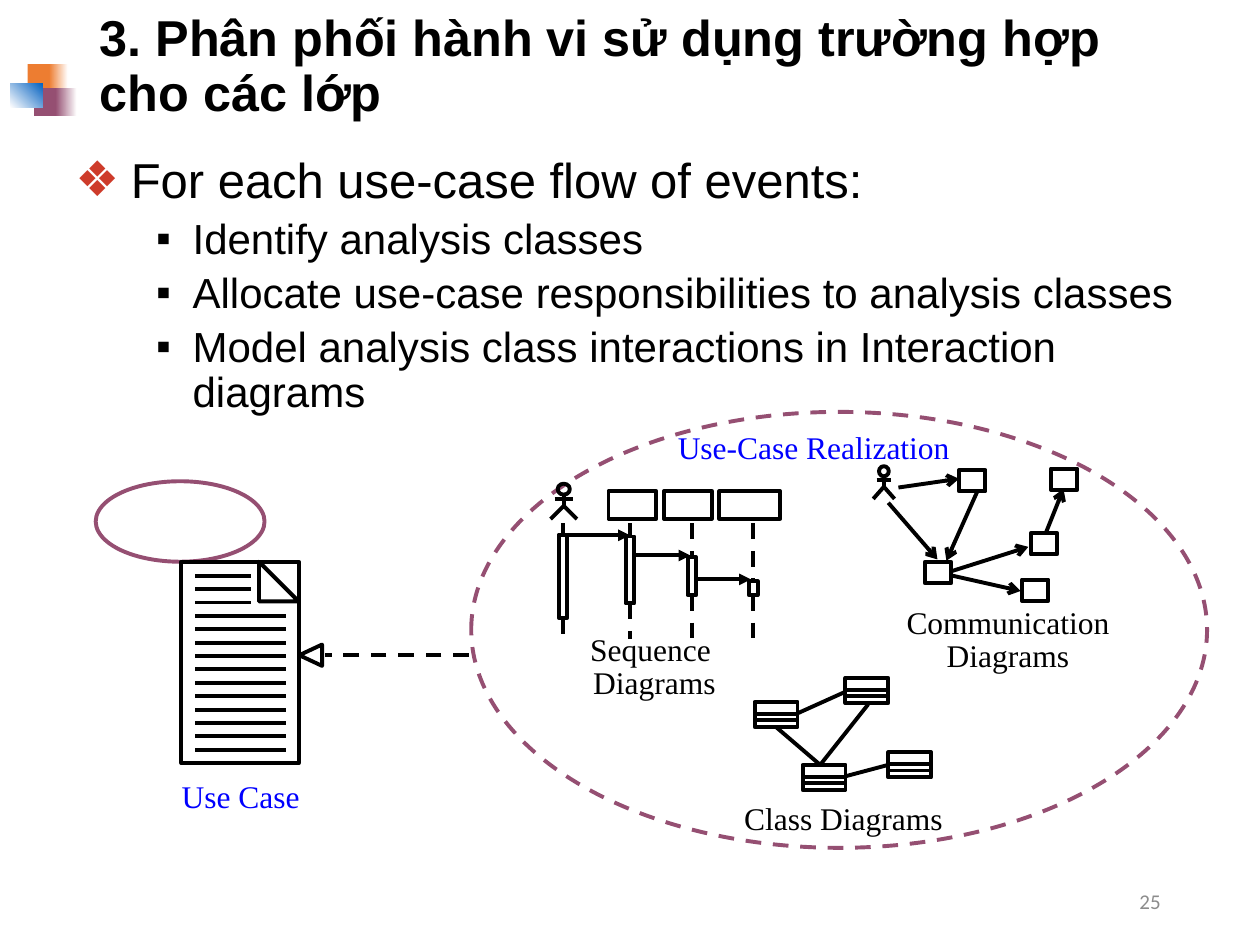
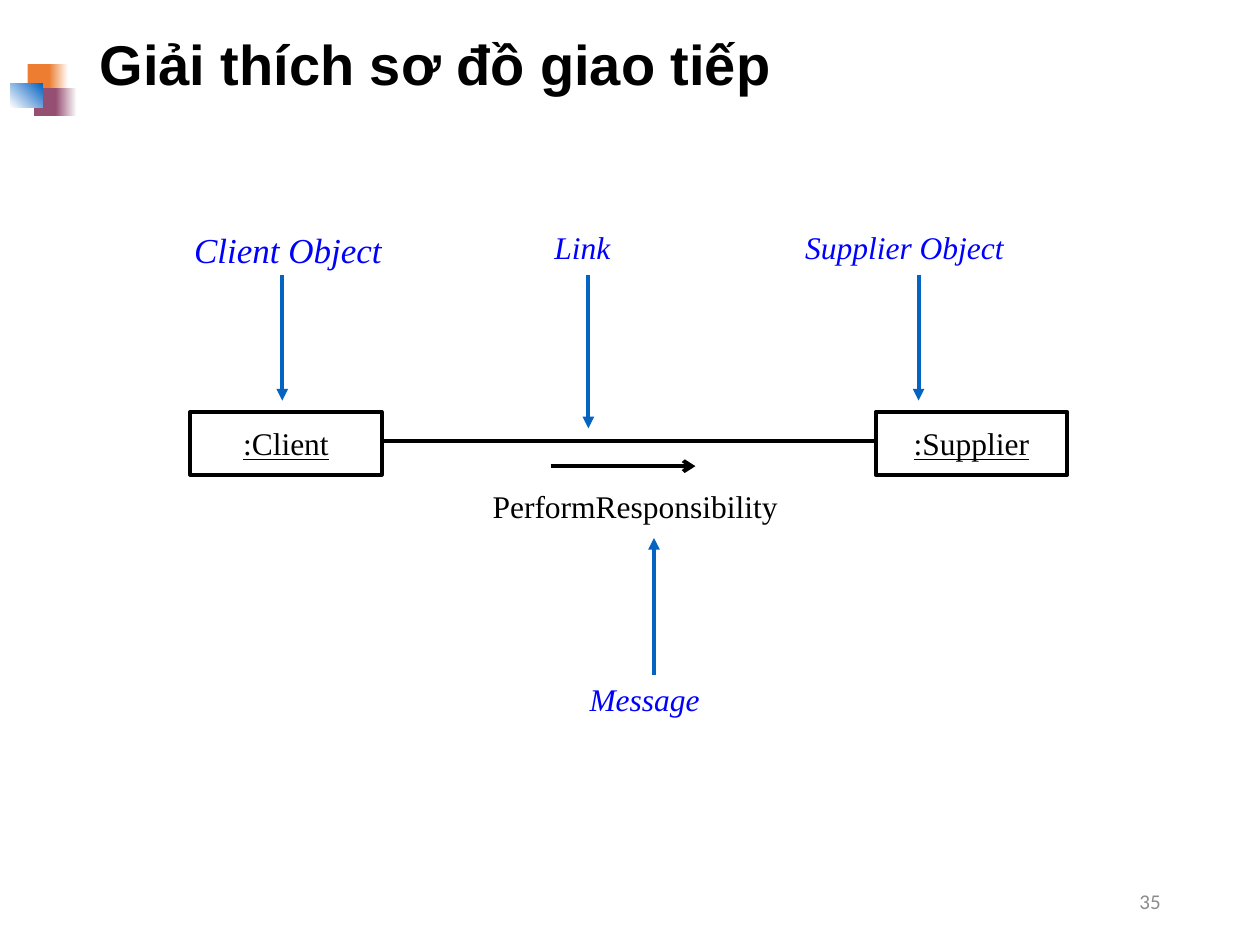
from lxml import etree
from pptx import Presentation
from pptx.dml.color import RGBColor
from pptx.enum import dml, shapes, text
from pptx.oxml import ns
from pptx.util import Pt

BLACK, BLUE, LABEL = "000000", "0563C1", "0000FF"
ORANGE, PLUM, WHITE = "ED7D31", "954F72", "FFFFFF"
GREY, RED = "8C8C8C", "CE3B2A"
SANS, SERIF, NUMBER = "Arial", "Times New Roman", "Calibri"
RECT, OVAL = shapes.MSO_SHAPE.RECTANGLE, shapes.MSO_SHAPE.OVAL
LEFT, CENTER, RIGHT = text.PP_ALIGN.LEFT, text.PP_ALIGN.CENTER, text.PP_ALIGN.RIGHT
MIDDLE = text.MSO_ANCHOR.MIDDLE
STROKE = 2.25


def rgb(color):
    """Turn a hex string into a colour."""
    return RGBColor.from_string(color)


def add_run(p, words, size, color=BLACK, font=SERIF, bold=None, italic=None, underline=None):
    """Add one formatted run to a paragraph."""
    r = p.add_run()
    r.text = words
    f = r.font
    f.size, f.name, f.color.rgb = Pt(size), font, rgb(color)
    f.bold, f.italic, f.underline = bold, italic, underline


def set_line(sp, color, dash=False):
    """Give a shape or connector the common stroke."""
    sp.line.color.rgb = rgb(color)
    sp.line.width = Pt(STROKE)
    if dash:
        sp.line.dash_style = dml.MSO_LINE.DASH


def outline(s, kind, x, y, w, h, color=BLACK, dash=False):
    """Add an unfilled preset shape."""
    sp = s.shapes.add_shape(kind, Pt(x), Pt(y), Pt(w), Pt(h))
    sp.shadow.inherit = False
    sp.fill.background()
    set_line(sp, color, dash)
    return sp


def line(s, x1, y1, x2, y2, color=BLACK, dash=False, head=None):
    """Add a straight line, with an arrowhead at its end if asked."""
    c = s.shapes.add_connector(shapes.MSO_CONNECTOR.STRAIGHT, Pt(x1), Pt(y1), Pt(x2), Pt(y2))
    set_line(c, color, dash)
    if head:
        etree.SubElement(c.line._get_or_add_ln(), ns.qn("a:tailEnd"), type=head)
    etree.SubElement(c._element.spPr, ns.qn("a:effectLst"))


def polyline(s, points, close=False):
    """Add an unfilled outline through the points."""
    pts = [(Pt(x), Pt(y)) for x, y in points]
    fb = s.shapes.build_freeform(*pts[0])
    fb.add_line_segments(pts[1:], close=close)
    sp = fb.convert_to_shape()
    sp.shadow.inherit = False
    sp.fill.background()
    set_line(sp, BLACK)


def text_box(s, x, y, w, h, wrap=True, inset=True):
    """Add an empty text box and return its frame."""
    tf = s.shapes.add_textbox(Pt(x), Pt(y), Pt(w), Pt(h)).text_frame
    tf.word_wrap = wrap
    if not inset:
        tf.margin_left = tf.margin_right = tf.margin_top = tf.margin_bottom = 0
    return tf


def label(s, lines, x, y, w, h, color=BLACK, align=CENTER):
    """Add a serif label, with tight spacing when it has several lines."""
    p = text_box(s, x, y, w, h).paragraphs[0]
    p.alignment = align
    if len(lines) > 1:
        p.line_spacing = Pt(19)
    for i, words in enumerate(lines):
        if i:
            p.add_line_break()
        add_run(p, words, 18, color)


def ornament(s, x, y):
    """Draw the overlapping squares beside the title."""
    squares = [
        (10, 0, 14.4, 15.8, ORANGE, None, 0),
        (22.3, 0, 10.8, 15.8, ORANGE, WHITE, 0),
        (13.7, 13.7, 13.7, 15.8, PLUM, None, 0),
        (26, 13.7, 12.2, 15.8, PLUM, WHITE, 0),
        (0, 10.8, 18.7, 13.7, WHITE, BLUE, 45),
    ]
    for dx, dy, w, h, start, end, angle in squares:
        sp = s.shapes.add_shape(RECT, Pt(x + dx), Pt(y + dy), Pt(w), Pt(h))
        sp.shadow.inherit = False
        sp.line.fill.background()
        if end is None:
            sp.fill.solid()
            sp.fill.fore_color.rgb = rgb(start)
            continue
        sp.fill.gradient()
        sp.fill.gradient_angle = angle
        for stop, color in zip(sp.fill.gradient_stops, (start, end)):
            stop.color.rgb = rgb(color)


def new_slide(prs, title, size, number):
    """Add a title-only slide with ornament, title and slide number."""
    s = prs.slides.add_slide(prs.slide_layouts[5])
    ornament(s, 5.8, 36.7)
    sp = s.shapes.title
    sp.left, sp.top, sp.width, sp.height = Pt(49.7), Pt(9.4), Pt(620.6), Pt(58.3)
    tf = sp.text_frame
    tf.auto_size, tf.vertical_anchor = text.MSO_AUTO_SIZE.NONE, MIDDLE
    p = tf.paragraphs[0]
    p.alignment, p.line_spacing = LEFT, 0.9
    add_run(p, title, size, font=SANS, bold=True)
    tf = text_box(s, 508.3, 500.4, 162, 28.8)
    tf.vertical_anchor = MIDDLE
    tf.paragraphs[0].alignment = RIGHT
    add_run(tf.paragraphs[0], number, 12, GREY, NUMBER)
    return s


def bullet_list(s, items, x, y, w, h):
    """Write bulleted items given as (level, words)."""
    styles = [("❖", RED, 31.7, -31.7, 28, 10), ("▪", BLACK, 67, -20.9, 24, 5)]
    tf = text_box(s, x, y, w, h)
    for i, (level, words) in enumerate(items):
        char, color, margin, indent, size, before = styles[level]
        p = tf.add_paragraph() if i else tf.paragraphs[0]
        p.level, p.line_spacing = level, 0.9
        p.space_before = Pt(before if i else 0)
        pPr = p._p.get_or_add_pPr()
        pPr.set("marL", str(Pt(margin)))
        pPr.set("indent", str(Pt(indent)))
        clr = etree.SubElement(pPr, ns.qn("a:buClr"))
        etree.SubElement(clr, ns.qn("a:srgbClr"), val=color)
        etree.SubElement(pPr, ns.qn("a:buFont"), typeface=SANS)
        etree.SubElement(pPr, ns.qn("a:buChar"), char=char)
        add_run(p, words, size, font=SANS)


def actor(s, x, y, w, h):
    """Draw a stick figure filling the box."""
    mid = x + w / 2
    outline(s, OVAL, mid - 0.23 * w, y, 0.46 * w, 0.31 * h)
    line(s, mid, y + 0.31 * h, mid, y + 0.63 * h)
    line(s, x + 0.16 * w, y + 0.43 * h, x + 0.84 * w, y + 0.43 * h)
    polyline(s, [(x, y + h), (mid, y + 0.63 * h), (x + w, y + h)])


def use_case(s, x, y):
    """Draw the use-case oval and its document."""
    outline(s, OVAL, x, y, 96.5, 46, PLUM)
    left, top, w, h, fold = x + 49, y + 46, 67, 115.2, 22.7
    right = left + w
    outline(s, RECT, left, top, w, h)
    polyline(s, [(right - fold, top), (right, top + fold), (right - fold, top + fold)], close=True)
    for i in range(14):
        row = top + 8 + 7.65 * i
        line(s, left + 7.9, row, left + (39.6 if i < 3 else 59.8), row)
    label(s, ["Use Case"], x + 10.8, y + 165.6, 144, 28.8, LABEL)


def dependency(s, x, y, length):
    """Draw a dashed line that ends in a hollow triangle on the left."""
    line(s, x + length, y, x + 14.4, y, dash=True)
    outline(s, shapes.MSO_SHAPE.ISOSCELES_TRIANGLE, x, y - 6.5, 12.2, 13).rotation = 270


def sequence_diagram(s, x, y):
    """Draw the small sequence diagram with its label."""
    actor(s, x, y, 15.1, 20.2)
    lifelines = [(7.2, 29.2, 76.7), (45.4, 30.2, 68.4), (80.8, 42.1, 63.7), (115.9, 55.8, 63.7)]
    for dx, start, end in lifelines:
        line(s, x + dx, y + 22.7, x + dx, y + start, dash=True)
        outline(s, RECT, x + dx - 2.5, y + start, 5, end - start)
        line(s, x + dx, y + end, x + dx, y + 88.6, dash=True)
    for i, w in enumerate((27.4, 27.4, 34.6)):
        outline(s, RECT, x + 33.1 + 31.7 * i, y + 4.3, w, 15.8)
    for start, end, row in [(7.2, 45.4, 29.5), (47.5, 79.9, 41), (84.2, 114.5, 54.7)]:
        line(s, x + start, y + row, x + end, y + row, head="triangle")
    label(s, ["Sequence ", "Diagrams"], x + 4.3, y + 82.8, 110.2, 45.4)


def communication_diagram(s, x, y):
    """Draw the small communication diagram with its label."""
    actor(s, x, y, 12.2, 18.7)
    for dx, dy in [(49, 2.2), (29.5, 54.7), (85, 64.8), (90, 38.2), (101.5, 1.4)]:
        outline(s, RECT, x + dx, y + dy, 15.1, 12.2)
    arrows = [
        (8.6, 20.9, 36.7, 53.3), (14.4, 12.2, 49, 7.2), (45.4, 62.6, 84.2, 71.3),
        (45.4, 59.8, 88.6, 46.1), (98.6, 38.2, 108.7, 13), (59.8, 13.7, 41.8, 54),
    ]
    for x1, y1, x2, y2 in arrows:
        line(s, x + x1, y + y1, x + x2, y + y2, head="arrow")
    label(s, ["Communication", "Diagrams"], x - 24.5, y + 77, 203, 45.4)


def class_diagram(s, x, y):
    """Draw the small class diagram with its label."""
    w, h = 24.5, 14.4
    for dx, dy in [(0, 13.7), (51.8, 0), (27.4, 49.7), (76.3, 42.5)]:
        outline(s, RECT, x + dx, y + dy, w, h)
        for row in (6.8, 10.4):
            line(s, x + dx, y + dy + row, x + dx + w, y + dy + row)
    links = [
        (37.4, 49.7, 12.2, 28.1), (24.5, 20.2, 51.8, 7.9),
        (51.8, 56.2, 76.3, 49.7), (37.4, 49.7, 64.8, 15.1),
    ]
    for x1, y1, x2, y2 in links:
        line(s, x + x1, y + y1, x + x2, y + y2)
    label(s, ["Class Diagrams"], x - 20.2, y + 65.5, 141.8, 28.8)


def realization(s, x, y, w, h):
    """Draw the dashed oval and the three kinds of diagram inside."""
    outline(s, OVAL, x, y, w, h, PLUM, dash=True)
    class_diagram(s, x + 162, y + 152)
    communication_diagram(s, x + 229.7, y + 31)
    sequence_diagram(s, x + 45.3, y + 41)
    label(s, ["Use-Case Realization"], x + 110.9, y + 5.8, 209.5, 28.8, LABEL, LEFT)


def object_box(s, name, x, y):
    """Draw an object with its underlined name."""
    sp = outline(s, RECT, x, y, 109.4, 36)
    tf = sp.text_frame
    tf.vertical_anchor = MIDDLE
    tf.paragraphs[0].alignment = CENTER
    add_run(tf.paragraphs[0], name, 18, underline=True)


def caption(s, words, x, y, w, size=18, color=LABEL, italic=True):
    """Write a one-line caption without insets."""
    tf = text_box(s, x, y, w, size * 1.2, wrap=False, inset=False)
    add_run(tf.paragraphs[0], words, size, color, italic=italic)


def communication_key(s, x, y):
    """Draw two linked objects and name every part."""
    object_box(s, ":Client", x, y + 105.1)
    object_box(s, ":Supplier", x + 391.7, y + 105.1)
    line(s, x + 109.4, y + 121.7, x + 391.7, y + 121.7)
    line(s, x + 205.9, y + 136.1, x + 288.7, y + 136.1, head="arrow")
    caption(s, "PerformResponsibility", x + 172.8, y + 148.3, 185, color=BLACK, italic=None)
    caption(s, "Client Object", x + 2.2, y, 115.2, 20)
    caption(s, "Link", x + 208.1, y, 38.2)
    caption(s, "Supplier Object", x + 351.4, y, 123.1)
    caption(s, "Message", x + 228.2, y + 258.5, 69.8)
    for dx, start, end in [(52.6, 26.6, 98.6), (227.5, 26.6, 114.5),
                           (416.2, 26.6, 98.6), (265, 255.6, 177.1)]:
        line(s, x + dx, y + start, x + dx, y + end, BLUE, head="triangle")


def main():
    """Build both slides and save them."""
    prs = Presentation()
    prs.slide_width, prs.slide_height = Pt(720), Pt(540)

    s = new_slide(prs, "3. Phân phối hành vi sử dụng trường hợp cho các lớp", 28.8, "25")
    bullet_list(s, [
        (0, "For each use-case flow of events:"),
        (1, "Identify analysis classes"),
        (1, "Allocate use-case responsibilities to analysis classes"),
        (1, "Model analysis class interactions in Interaction diagrams"),
    ], 36, 85.7, 648, 383.8)
    realization(s, 269.3, 235.4, 420.5, 249.1)
    use_case(s, 54.7, 275)
    dependency(s, 171.4, 374.4, 96.5)

    s = new_slide(prs, "Giải thích sơ đồ giao tiếp", 32, "35")
    communication_key(s, 108.7, 130.3)
    prs.save("out.pptx")


if __name__ == "__main__":
    main()
